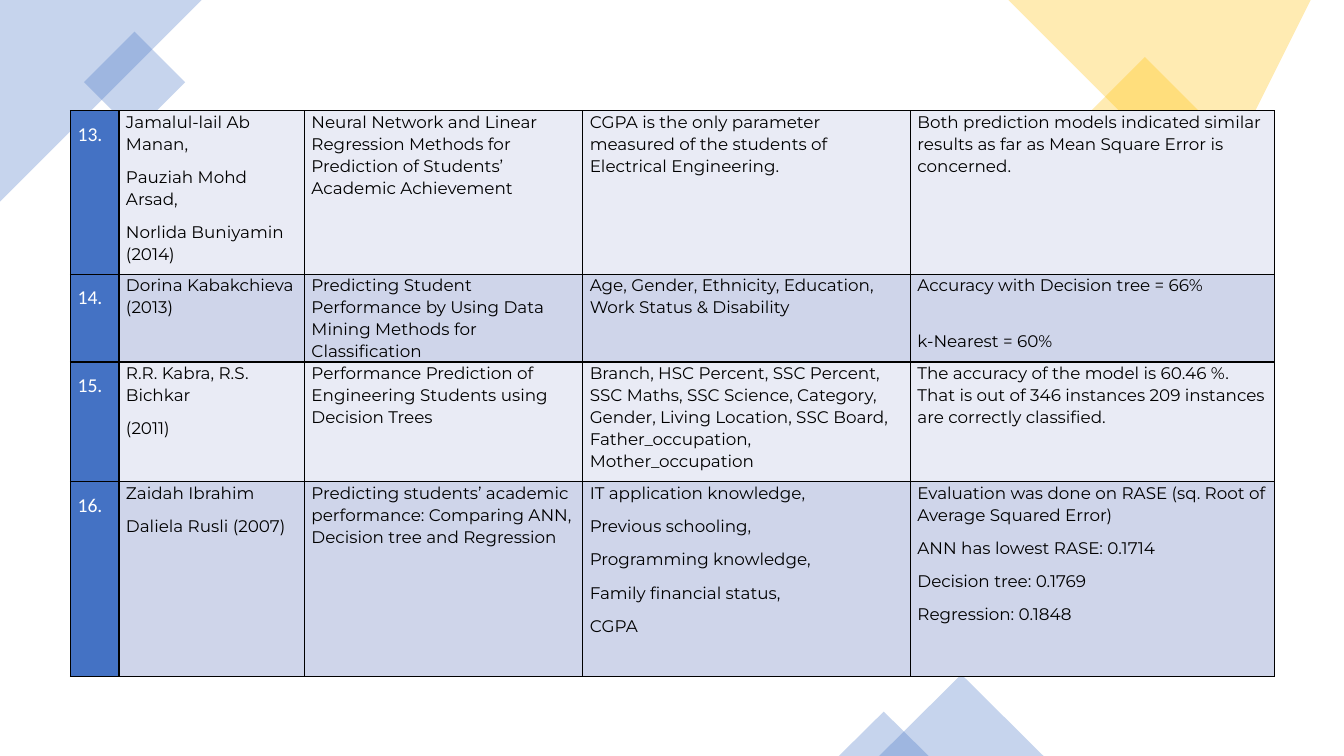
from lxml.etree import SubElement
from pptx import Presentation
from pptx.dml.color import RGBColor
from pptx.enum.shapes import MSO_SHAPE as Preset
from pptx.enum.text import PP_ALIGN as Align
from pptx.oxml.ns import qn
from pptx.util import Inches, Pt

BLUE = RGBColor(0x44, 0x72, 0xC4)
YELLOW = RGBColor(0xFF, 0xC0, 0x00)
LIGHT_BAND = RGBColor(0xE9, 0xEB, 0xF5)
DARK_BAND = RGBColor(0xCF, 0xD5, 0xEA)
BLACK = RGBColor(0, 0, 0)
WHITE = RGBColor(0xFF, 0xFF, 0xFF)


def paint_translucent(shape, color):
    shape.shadow.inherit = False
    shape.fill.solid()
    shape.fill.fore_color.rgb = color
    shape.line.fill.background()
    color_node = shape.fill._xPr.find(qn("a:solidFill"))[0]
    SubElement(color_node, qn("a:alpha"), val="30000")


def add_borders(cell):
    properties = cell._tc.get_or_add_tcPr()
    for position, side in enumerate(("a:lnL", "a:lnR", "a:lnT", "a:lnB")):
        line = properties.makeelement(qn(side), {"w": str(Pt(1))})
        fill = SubElement(line, qn("a:solidFill"))
        SubElement(fill, qn("a:srgbClr"), val=str(BLACK))
        properties.insert(position, line)


presentation = Presentation()
presentation.slide_width = Inches(13.33)
presentation.slide_height = Inches(7.5)
slide = presentation.slides.add_slide(presentation.slide_layouts[6])

corners = [
    (BLUE, [(1.53, 0), (0, 0), (0, 1.3), (0.41, 1.71), (1.83, 0.3)]),
    (YELLOW, [(13.33, 0), (10.23, 0), (11.93, 1.62), (13.33, 0.28)]),
]
for color, points in corners:
    builder = slide.shapes.build_freeform(*points[0], scale=Inches(1))
    builder.add_line_segments(points[1:], close=True)
    paint_translucent(builder.convert_to_shape(), color)

accents = [
    (Preset.RECTANGLE, 0.98, 0.46, 0.71, 0.71, 315, BLUE),
    (Preset.RECTANGLE, 10.98, 0.72, 0.75, 0.75, 315, YELLOW),
    (Preset.ISOSCELES_TRIANGLE, 8.72, 6.69, 1.63, 0.81, 0, BLUE),
    (Preset.ISOSCELES_TRIANGLE, 8.32, 7.06, 0.89, 0.44, 0, BLUE),
]
for preset, left, top, width, height, rotation, color in accents:
    shape = slide.shapes.add_shape(
        preset, Inches(left), Inches(top), Inches(width), Inches(height))
    shape.rotation = rotation
    paint_translucent(shape, color)

studies = [
    (["13."],
     ["Jamalul-lail Ab Manan,", "Pauziah Mohd Arsad,", "Norlida Buniyamin (2014)"],
     ["Neural Network and Linear Regression Methods for Prediction of Students’ Academic Achievement"],
     ["CGPA is the only parameter measured of the students of Electrical Engineering."],
     ["Both prediction models indicated similar results as far as Mean Square Error is concerned."]),
    (["14."],
     ["Dorina Kabakchieva (2013)"],
     ["Predicting Student Performance by Using Data Mining Methods for Classification"],
     ["Age, Gender, Ethnicity, Education, Work Status & Disability"],
     ["Accuracy with Decision tree = 66%", "k-Nearest = 60%"]),
    (["15."],
     ["R.R. Kabra, R.S. Bichkar", "(2011)"],
     ["Performance Prediction of Engineering Students using Decision Trees"],
     ["Branch, HSC Percent, SSC Percent, SSC Maths, SSC Science, Category, Gender, "
      "Living Location, SSC Board, Father_occupation, Mother_occupation"],
     ["The accuracy of the model is 60.46 %. That is out of 346 instances 209 instances "
      "are correctly classified."]),
    (["16."],
     ["Zaidah Ibrahim", "Daliela Rusli (2007)"],
     ["Predicting students’ academic performance: Comparing ANN, Decision tree and Regression"],
     ["IT application knowledge,", "Previous schooling,", "Programming knowledge,",
      "Family financial status,", "CGPA"],
     ["Evaluation was done on RASE (sq. Root of Average Squared Error)",
      "ANN has lowest RASE: 0.1714", "Decision tree: 0.1769", "Regression: 0.1848"]),
]
column_widths = [0.48, 1.84, 2.76, 3.25, 3.61]
row_heights = [1.62, 0.82, 1.19, 1.93]
margins = {"margin_left": Inches(0.07), "margin_right": Inches(0.07),
           "margin_top": 0, "margin_bottom": 0}
number_format = {"alignment": Align.JUSTIFY, "line_spacing": 1.5, "space_after": Pt(8)}
body_format = {"alignment": Align.LEFT, "line_spacing": 1.07, "space_after": Pt(8)}
number_font = {"name": "Calibri", "size": Pt(14)}
body_font = {"name": "Montserrat", "size": Pt(12)}

table = slide.shapes.add_table(
    len(studies), len(column_widths), Inches(0.7), Inches(1.1),
    Inches(11.93), Inches(5.57)).table
table.first_row = False
table.horz_banding = False
for column, width in zip(table.columns, column_widths):
    column.width = Inches(width)
for row, height in zip(table.rows, row_heights):
    row.height = Inches(height)

for row_index, study in enumerate(studies):
    band = DARK_BAND if row_index % 2 else LIGHT_BAND
    for column_index, texts in enumerate(study):
        is_number = column_index == 0
        cell = table.cell(row_index, column_index)
        for name, value in margins.items():
            setattr(cell, name, value)
        cell.fill.solid()
        cell.fill.fore_color.rgb = BLUE if is_number else band
        add_borders(cell)
        cell.text_frame.text = "\n".join(texts)
        for paragraph in cell.text_frame.paragraphs:
            for name, value in (number_format if is_number else body_format).items():
                setattr(paragraph, name, value)
            font = paragraph.runs[0].font
            for name, value in (number_font if is_number else body_font).items():
                setattr(font, name, value)
            font.color.rgb = WHITE if is_number else BLACK

nearest_paragraph = table.cell(1, 4).text_frame.paragraphs[1]
nearest_paragraph.space_before = Pt(15.7)

presentation.save("out.pptx")
